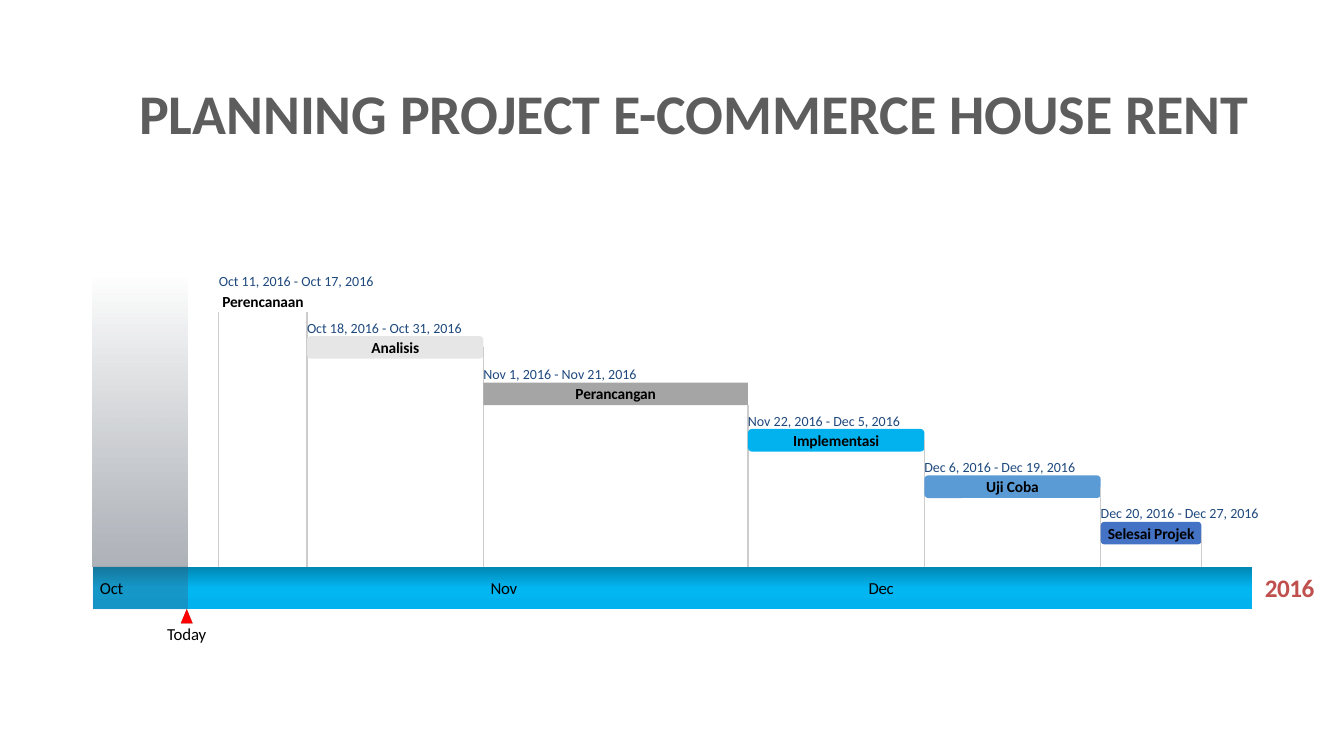
from dataclasses import dataclass
from lxml.etree import SubElement
from pptx import Presentation
from pptx.dml.color import RGBColor as RGB
from pptx.enum.shapes import MSO_CONNECTOR as Link, MSO_SHAPE as Form
from pptx.enum.text import MSO_ANCHOR as Anchor, PP_ALIGN as Align
from pptx.oxml.ns import qn
from pptx.util import Cm, Pt


@dataclass(frozen=True)
class Theme:
    font: str = "Calibri"
    ink: str = "000000"
    title: str = "5D5D5D"
    date: str = "1F497E"
    year: str = "C0504D"
    past: str = "44546A"
    mark: str = "FF0000"
    rule: str = "CCCCCC"
    band: tuple = ((0, "0186B2", 100), (50, "02B6F2", 100), (100, "02B2EE", 100))
    head_pt: int = 40
    year_pt: int = 18
    axis_pt: int = 12
    task_pt: int = 11
    date_pt: int = 10


LOOK = Theme()
YEAR = 2016
MONTHS = {"Oct": 0, "Nov": 31, "Dec": 61}  # days before each month
SPAN = 92
TODAY = 7.55
TASKS = [
    ("Perencanaan", "Oct", 11, "Oct", 17, Form.RECTANGLE, "FFFFFF"),
    ("Analisis", "Oct", 18, "Oct", 31, Form.ROUNDED_RECTANGLE, "E7E6E6"),
    ("Perancangan", "Nov", 1, "Nov", 21, Form.RECTANGLE, "A5A5A5"),
    ("Implementasi", "Nov", 22, "Dec", 5, Form.ROUNDED_RECTANGLE, "02B2EE"),
    ("Uji Coba", "Dec", 6, "Dec", 19, Form.ROUNDED_RECTANGLE, "5B9BD5"),
    ("Selesai Projek", "Dec", 20, "Dec", 27, Form.ROUNDED_RECTANGLE, "4472C4"),
]


# Drawing helpers, lengths in centimetres
def write(shape, text, size=12, color=LOOK.ink, bold=False, align=Align.LEFT,
          wrap=False, track=0):
    frame = shape.text_frame
    frame.word_wrap = wrap
    frame.vertical_anchor = Anchor.MIDDLE
    frame.margin_left = frame.margin_right = 0
    frame.margin_top = frame.margin_bottom = 0
    para = frame.paragraphs[0]
    para.alignment = align
    run = para.add_run()
    run.text = text
    font = run.font
    font.name, font.size, font.bold = LOOK.font, Pt(size), bold
    font.color.rgb = RGB.from_string(color)
    if track:
        run._r.get_or_add_rPr().set("spc", str(track))


def label(slide, x, y, w, h, text, **style):
    box = slide.shapes.add_textbox(Cm(x), Cm(y), Cm(w), Cm(h))
    write(box, text, **style)


def tint(node, color, alpha):
    hue = SubElement(node, qn("a:srgbClr"), val=color)
    if alpha < 100:
        SubElement(hue, qn("a:alpha"), val=str(alpha * 1000))


def block(slide, form, x, y, w, h, color=None, alpha=100, stops=None, glow=False):
    shape = slide.shapes.add_shape(form, Cm(x), Cm(y), Cm(w), Cm(h))
    shape.shadow.inherit = False
    shape.line.fill.background()
    props = shape._element.spPr
    if stops:
        shape.fill.gradient()
        grad = props.find(qn("a:gradFill"))
        for part in list(grad):
            grad.remove(part)
        chain = SubElement(grad, qn("a:gsLst"))
        for pos, hue, fade in stops:
            tint(SubElement(chain, qn("a:gs"), pos=str(pos * 1000)), hue, fade)
        SubElement(grad, qn("a:lin"), ang="5400000", scaled="0")
    else:
        shape.fill.solid()
        shape.fill.fore_color.rgb = RGB.from_string(color)
        if alpha < 100:
            hue = props.find(qn("a:solidFill"))[0]
            SubElement(hue, qn("a:alpha"), val=str(alpha * 1000))
    if glow:
        cast = SubElement(props.find(qn("a:effectLst")), qn("a:outerShdw"),
                          blurRad="0", dist="0", dir="0")
        tint(cast, "000000", 50)
    return shape


def drop(slide, x, top, foot):
    line = slide.shapes.add_connector(Link.STRAIGHT, x, top, x, foot)
    line.line.color.rgb = RGB.from_string(LOOK.rule)
    line.line.width = Pt(0.75)
    SubElement(line._element.spPr, qn("a:effectLst"))
    return line


# Regions
def head(slide, x, y, w, h):
    label(slide, x, y, w, h, "PLANNING PROJECT E-COMMERCE HOUSE RENT",
          size=LOOK.head_pt, color=LOOK.title, bold=True, align=Align.CENTER)


def past(slide, x, y, w, h):
    block(slide, Form.RECTANGLE, x, y, w * TODAY / SPAN, h, glow=True,
          stops=((0, LOOK.past, 0), (100, LOOK.past, 30)))


def plan(slide, x, y, w, h):
    day, step, bar_h, date_h = w / SPAN, 1.17, 0.57, 0.43
    foot = Cm(y + h)
    for row, (name, m1, d1, m2, d2, form, color) in enumerate(TASKS):
        left = x + (MONTHS[m1] + d1 - 1) * day
        wide = (MONTHS[m2] + d2) * day - (left - x)
        top = y + 0.42 + row * step
        if row == 0:
            drop(slide, Cm(left), Cm(top + bar_h), foot)
        bar = block(slide, form, left, top, wide, bar_h, color)
        write(bar, name, size=LOOK.task_pt, bold=True, align=Align.CENTER, track=-10)
        # Rounded bars drop from mid-side, square ones from the corner
        line = drop(slide, bar.left + bar.width, bar.top + bar.height, foot)
        if form == Form.ROUNDED_RECTANGLE:
            line.begin_connect(bar, 3)
        label(slide, left, top - 0.43, 4, date_h,
              f"{m1} {d1}, {YEAR} - {m2} {d2}, {YEAR}",
              size=LOOK.date_pt, color=LOOK.date)


def axis(slide, x, y, w, h):
    day = w / SPAN
    now = x + TODAY * day
    block(slide, Form.RECTANGLE, x, y, w, h, stops=LOOK.band)
    block(slide, Form.RECTANGLE, x, y, now - x, h, LOOK.past, alpha=30)
    label(slide, x + w + 0.15, y, 1.6, h, str(YEAR), size=LOOK.year_pt,
          color=LOOK.year, bold=True, align=Align.CENTER, track=-40)
    for month, days in MONTHS.items():
        label(slide, x + days * day + 0.18, y + 0.28, 0.7, 0.51, month,
              size=LOOK.axis_pt, track=-20)
    # Today marker
    block(slide, Form.ISOSCELES_TRIANGLE, now - 0.18, y + h, 0.3, 0.36,
          LOOK.mark, glow=True)
    label(slide, now - 0.58, y + h + 0.36, 1.1, 0.51, "Today",
          size=LOOK.axis_pt, align=Align.CENTER, track=-10)


def main():
    deck = Presentation()
    deck.slide_width, deck.slide_height = Cm(33.87), Cm(19.05)
    slide = deck.slides.add_slide(deck.slide_layouts[6])
    x, w, top, base = 2.34, 29.21, 6.88, 14.28
    past(slide, x, top, w, base - top)
    plan(slide, x, top, w, base - top)
    axis(slide, x, base, w, 1.07)
    head(slide, 3.1, 1.85, 28.78, 1.96)
    deck.save("out.pptx")


if __name__ == "__main__":
    main()
